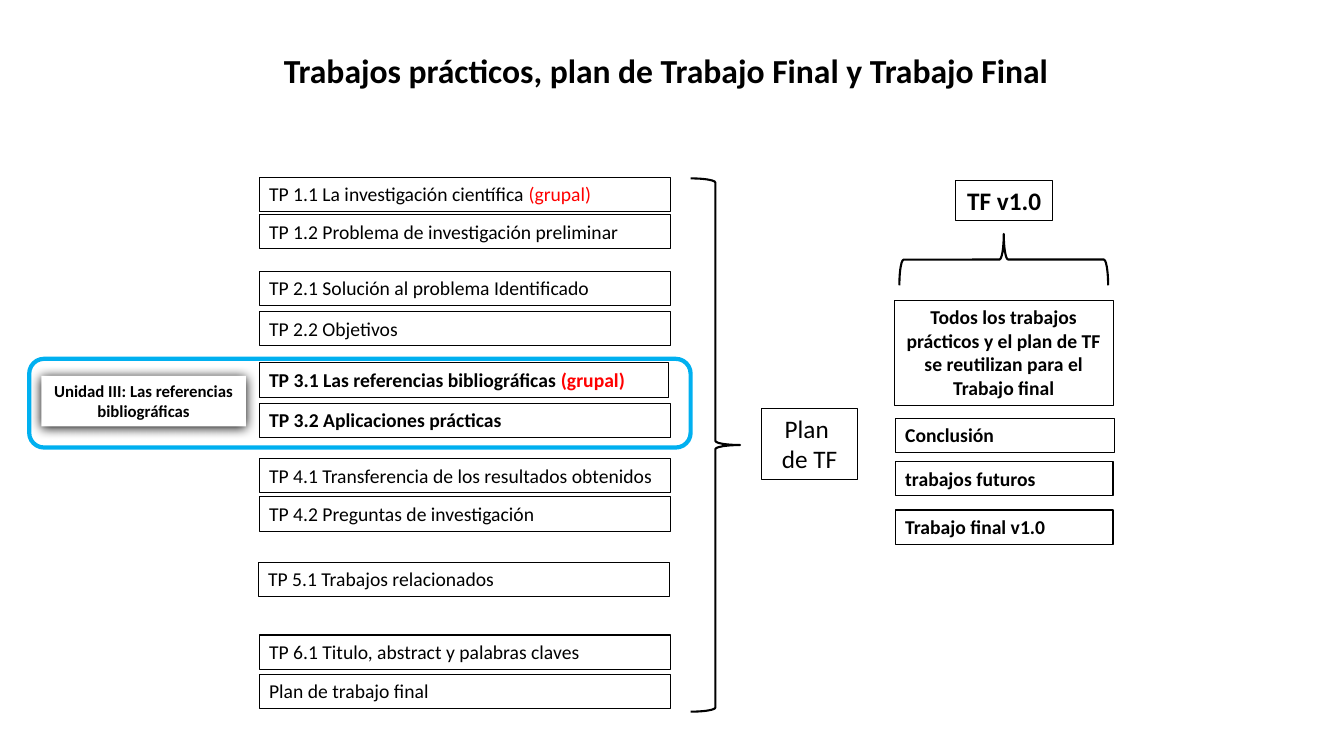
from dataclasses import dataclass

import pptx
import pptx.dml.color
import pptx.enum.shapes
import pptx.enum.text
import pptx.oxml
import pptx.oxml.ns
import pptx.util

EMU_PER_PX = 9144
FONT = "Calibri"
COLOURS = {"ink": "000000", "group": "FF0000", "frame": "00B0F0", "paper": "FFFFFF"}
SHAPES = pptx.enum.shapes.MSO_SHAPE
ALIGN = pptx.enum.text.PP_ALIGN

TASK_LEFT, TASK_WIDTH, ROW_HEIGHT = 257, 408, 34
FINAL_LEFT, FINAL_WIDTH = 888, 216


@dataclass(frozen=True)
class Box:
    left: int
    top: int
    width: int
    height: int
    lines: tuple[str, ...]
    size: int = 14
    bold: bool = False
    centred: bool = False
    note: str = ""
    line: str | None = "ink"
    fill: str | None = None
    shadow: bool = False


@dataclass(frozen=True)
class Outline:
    kind: SHAPES
    left: int
    top: int
    width: int
    height: int
    colour: str
    weight: float
    rotation: int = 0


def task(top: int, text: str, note: str = "", bold: bool = False,
         left: int = TASK_LEFT, width: int = TASK_WIDTH) -> Box:
    return Box(left, top, width, ROW_HEIGHT, (text,), note=note, bold=bold)


def final_part(top: int, text: str, width: int = FINAL_WIDTH) -> Box:
    return Box(FINAL_LEFT, top, width, ROW_HEIGHT, (text,), bold=True)


BOXES = [
    Box(241, 45, 847, 50, ("Trabajos prácticos, plan de Trabajo Final y Trabajo Final ",),
        size=24, bold=True, centred=True, line=None),
    task(176, "TP 1.1 La investigación científica ", note="(grupal)"),
    task(213, "TP 1.2 Problema de investigación preliminar"),
    task(269, "TP 2.1 Solución al problema Identificado"),
    task(309, "TP 2.2 Objetivos"),
    task(360, "TP 3.1 Las referencias bibliográficas ", note="(grupal)", bold=True, width=406),
    task(400, "TP 3.2 Aplicaciones prácticas", bold=True),
    task(455, "TP 4.1 Transferencia de los resultados obtenidos"),
    task(493, "TP 4.2 Preguntas de investigación"),
    task(558, "TP 5.1 Trabajos relacionados", left=256),
    task(630, "TP 6.1 Titulo, abstract y palabras claves"),
    task(669, "Plan de trabajo final"),
    Box(755, 405, 96, 71, ("Plan ", "de TF"), size=18, centred=True),
    Box(948, 179, 96, 40, ("TF v1.0",), size=18, bold=True, centred=True),
    Box(887, 298, 217, 104,
        ("Todos los trabajos prácticos y el plan de TF se reutilizan para el Trabajo final",),
        bold=True, centred=True),
    final_part(415, "Conclusión", width=217),
    final_part(458, "trabajos futuros"),
    final_part(506, "Trabajo final v1.0"),
]

OUTLINES = [
    Outline(SHAPES.LEFT_BRACE, 685, 177, 49, 529, "ink", 1.5, rotation=180),
    Outline(SHAPES.LEFT_BRACE, 970, 154, 51, 207, "ink", 1.5, rotation=90),
    Outline(SHAPES.ROUNDED_RECTANGLE, 29, 356, 656, 88, "frame", 3),
]

UNIT_LABEL = Box(41, 373, 203, 50, ("Unidad III: Las referencias bibliográficas",),
                 size=12, bold=True, centred=True, line=None, fill="paper", shadow=True)


def px(length: int) -> pptx.util.Emu:
    return pptx.util.Emu(length * EMU_PER_PX)


def colour(name: str) -> pptx.dml.color.RGBColor:
    return pptx.dml.color.RGBColor.from_string(COLOURS[name])


def add_shadow(shape) -> None:
    effects = shape._element.spPr.find(pptx.oxml.ns.qn("a:effectLst"))
    effects.append(pptx.oxml.parse_xml(
        f'<a:outerShdw {pptx.oxml.ns.nsdecls("a")} blurRad="107950" dist="12700" '
        f'dir="5400000" algn="ctr" rotWithShape="0">'
        f'<a:srgbClr val="{COLOURS["ink"]}"/></a:outerShdw>'))


def add_run(para, text: str, box: Box, ink: str) -> None:
    span = para.add_run()
    span.text = text
    span.font.name = FONT
    span.font.size = pptx.util.Pt(box.size)
    span.font.bold = box.bold
    span.font.color.rgb = colour(ink)


def draw_box(page, box: Box) -> None:
    shape = page.shapes.add_shape(SHAPES.RECTANGLE, px(box.left), px(box.top),
                                  px(box.width), px(box.height))
    shape.shadow.inherit = False
    if box.fill:
        shape.fill.solid()
        shape.fill.fore_color.rgb = colour(box.fill)
    else:
        shape.fill.background()
    if box.line:
        shape.line.color.rgb = colour(box.line)
        shape.line.width = pptx.util.Pt(0.75)
    else:
        shape.line.fill.background()
    if box.shadow:
        add_shadow(shape)

    frame = shape.text_frame
    frame.word_wrap = True
    frame.auto_size = pptx.enum.text.MSO_AUTO_SIZE.SHAPE_TO_FIT_TEXT
    frame.vertical_anchor = pptx.enum.text.MSO_ANCHOR.TOP
    for index, text in enumerate(box.lines):
        para = frame.add_paragraph() if index else frame.paragraphs[0]
        para.alignment = ALIGN.CENTER if box.centred else ALIGN.LEFT
        add_run(para, text, box, "ink")
    if box.note:
        add_run(para, box.note, box, "group")


def draw_outline(page, outline: Outline) -> None:
    shape = page.shapes.add_shape(outline.kind, px(outline.left), px(outline.top),
                                  px(outline.width), px(outline.height))
    shape.shadow.inherit = False
    shape.rotation = outline.rotation
    shape.fill.background()
    shape.line.color.rgb = colour(outline.colour)
    shape.line.width = pptx.util.Pt(outline.weight)


def main() -> None:
    deck = pptx.Presentation()
    deck.slide_width, deck.slide_height = px(1333), px(750)
    page = deck.slides.add_slide(deck.slide_layouts[6])
    for box in BOXES:
        draw_box(page, box)
    for outline in OUTLINES:
        draw_outline(page, outline)
    draw_box(page, UNIT_LABEL)
    deck.save("out.pptx")


if __name__ == "__main__":
    main()
